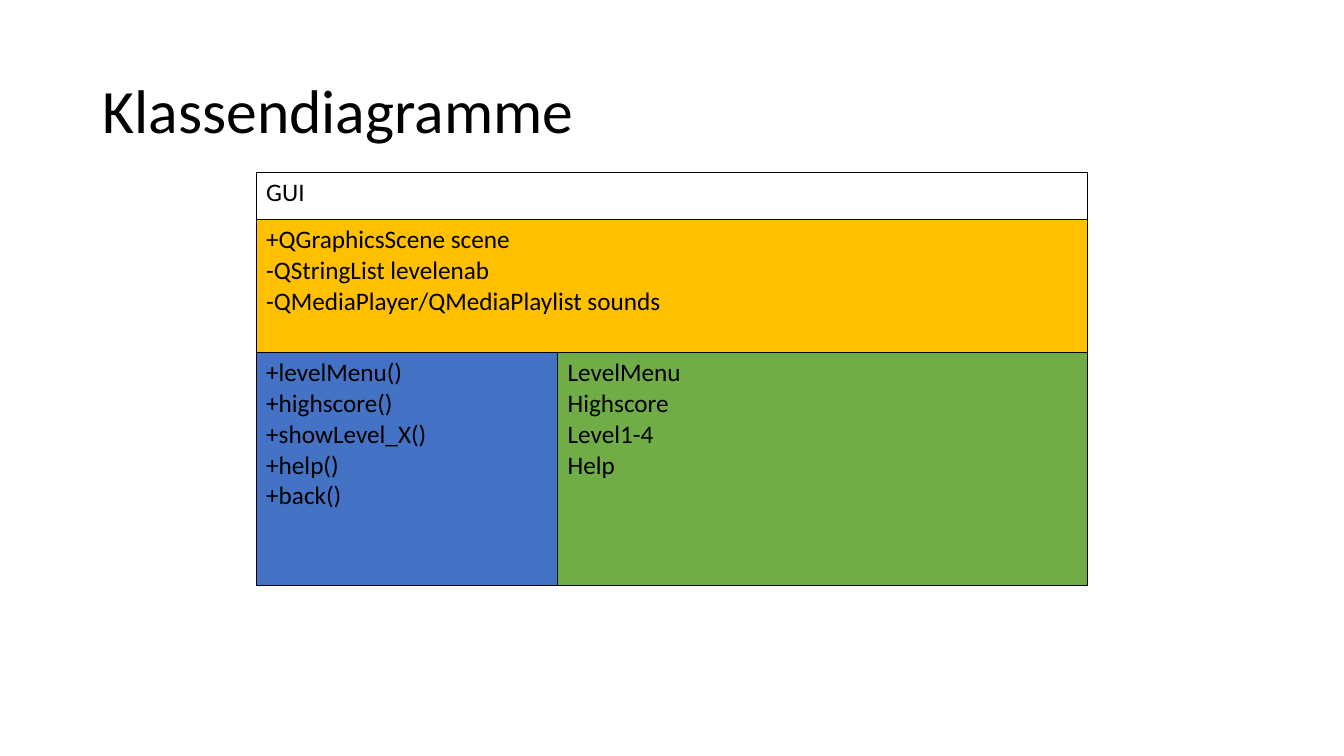
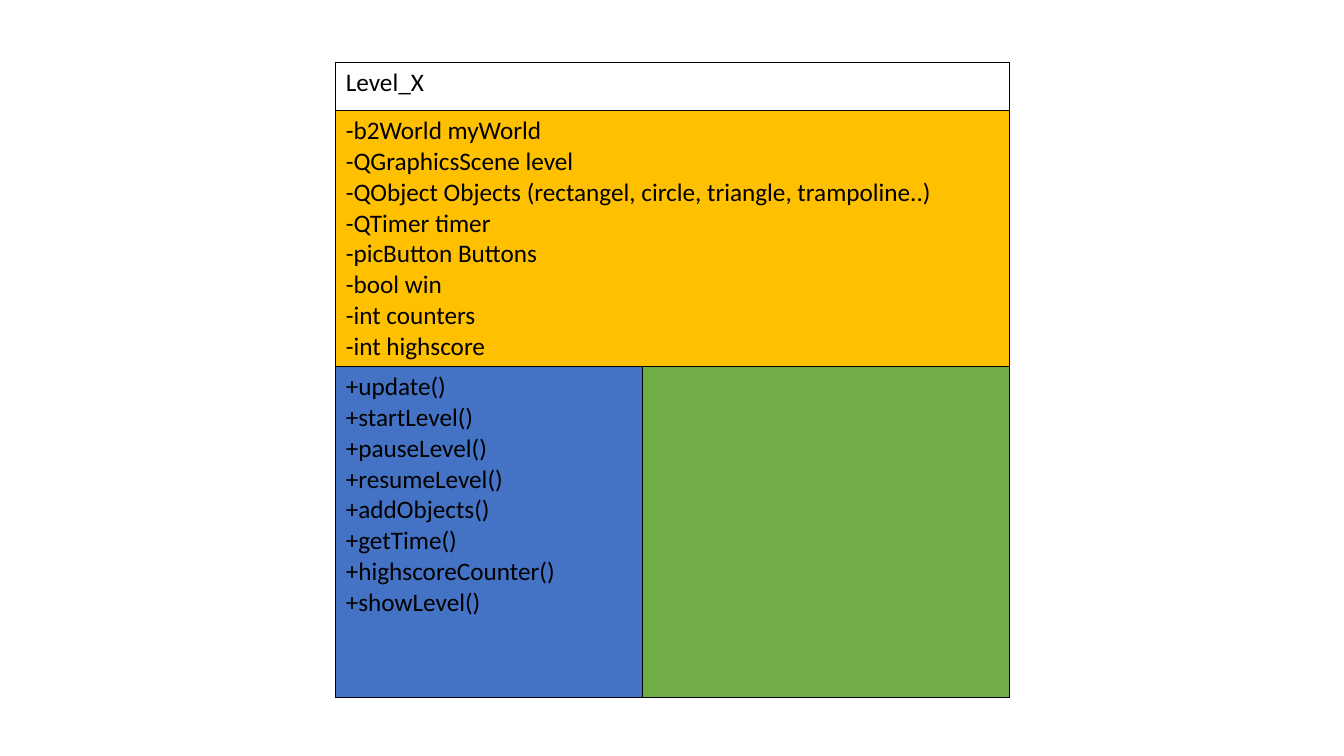
import dataclasses
import typing

import lxml.etree
import pptx
import pptx.dml.color
import pptx.enum.text
import pptx.oxml.ns
import pptx.slide
import pptx.table
import pptx.text.text
import pptx.util

Inches = pptx.util.Inches
Pt = pptx.util.Pt
RGBColor = pptx.dml.color.RGBColor
qn = pptx.oxml.ns.qn


@dataclasses.dataclass(frozen=True)
class Theme:
    font: str = "Calibri"
    ink: str = "000000"
    attributes: str = "FFC000"
    methods: str = "4472C4"
    views: str = "70AD47"
    title_size: int = 44
    body_size: int = 18
    border_width: int = 1


@dataclasses.dataclass(frozen=True)
class ClassDiagram:
    name: str
    attributes: tuple[str, ...]
    methods: tuple[str, ...]
    views: tuple[str, ...]
    left: float
    top: float
    columns: tuple[float, float]
    rows: tuple[float, float, float]
    title: str = ""


THEME = Theme()

DIAGRAMS = (
    ClassDiagram(
        title="Klassendiagramme",
        name="GUI",
        attributes=(
            "+QGraphicsScene scene",
            "-QStringList levelenab",
            "-QMediaPlayer/QMediaPlaylist sounds",
        ),
        methods=("+levelMenu()", "+highscore()", "+showLevel_X()", "+help()", "+back()"),
        views=("LevelMenu", "Highscore", "Level1-4", "Help"),
        left=2.54,
        top=1.71,
        columns=(2.99, 5.26),
        rows=(0.47, 1.32, 2.31),
    ),
    ClassDiagram(
        name="Level_X",
        attributes=(
            "-b2World myWorld",
            "-QGraphicsScene level",
            "-QObject Objects (rectangel, circle, triangle, trampoline..)",
            "-QTimer timer",
            "-picButton Buttons",
            "-bool win",
            "-int counters",
            "-int highscore",
        ),
        methods=(
            "+update()",
            "+startLevel()",
            "+pauseLevel()",
            "+resumeLevel()",
            "+addObjects()",
            "+getTime()",
            "+highscoreCounter()",
            "+showLevel()",
        ),
        views=(),
        left=3.33,
        top=0.62,
        columns=(3.04, 3.64),
        rows=(0.48, 2.54, 3.28),
    ),
)


def write_lines(frame: pptx.text.text.TextFrame, lines: typing.Sequence[str], size: int) -> None:
    frame.text = "\n".join(lines)
    for para in frame.paragraphs:
        para.font.name = THEME.font
        para.font.size = Pt(size)
        para.font.color.rgb = RGBColor.from_string(THEME.ink)


def draw_borders(cell: pptx.table._Cell) -> None:
    properties = cell._tc.get_or_add_tcPr()
    for side in ("a:lnL", "a:lnR", "a:lnT", "a:lnB"):
        line = lxml.etree.SubElement(properties, qn(side), w=str(Pt(THEME.border_width)))
        fill = lxml.etree.SubElement(line, qn("a:solidFill"))
        lxml.etree.SubElement(fill, qn("a:srgbClr"), val=THEME.ink)


def fill_cell(cell: pptx.table._Cell, lines: typing.Sequence[str], color: str | None) -> None:
    write_lines(cell.text_frame, lines, THEME.body_size)
    if color is None:
        cell.fill.background()
    else:
        cell.fill.solid()
        cell.fill.fore_color.rgb = RGBColor.from_string(color)


def draw_title(page: pptx.slide.Slide, title: str) -> None:
    box = page.shapes.add_textbox(Inches(0.92), Inches(0.4), Inches(11.5), Inches(1.45))
    frame = box.text_frame
    frame.word_wrap = True
    frame.vertical_anchor = pptx.enum.text.MSO_ANCHOR.MIDDLE
    write_lines(frame, (title,), THEME.title_size)
    frame.paragraphs[0].line_spacing = 0.9


def draw_diagram(page: pptx.slide.Slide, diagram: ClassDiagram) -> None:
    table = page.shapes.add_table(
        len(diagram.rows),
        len(diagram.columns),
        Inches(diagram.left),
        Inches(diagram.top),
        Inches(sum(diagram.columns)),
        Inches(sum(diagram.rows)),
    ).table
    table.first_row = False
    table.horz_banding = False
    for column, width in zip(table.columns, diagram.columns):
        column.width = Inches(width)
    for row, height in zip(table.rows, diagram.rows):
        row.height = Inches(height)
    for cell in table.iter_cells():
        draw_borders(cell)
    for index in (0, 1):
        table.cell(index, 0).merge(table.cell(index, 1))
    fill_cell(table.cell(0, 0), (diagram.name,), None)
    fill_cell(table.cell(1, 0), diagram.attributes, THEME.attributes)
    fill_cell(table.cell(2, 0), diagram.methods, THEME.methods)
    fill_cell(table.cell(2, 1), diagram.views, THEME.views)


deck = pptx.Presentation()
deck.slide_width = Inches(13.33)
deck.slide_height = Inches(7.5)
for diagram in DIAGRAMS:
    page = deck.slides.add_slide(deck.slide_layouts[6])
    draw_diagram(page, diagram)
    if diagram.title:
        draw_title(page, diagram.title)
deck.save("out.pptx")
